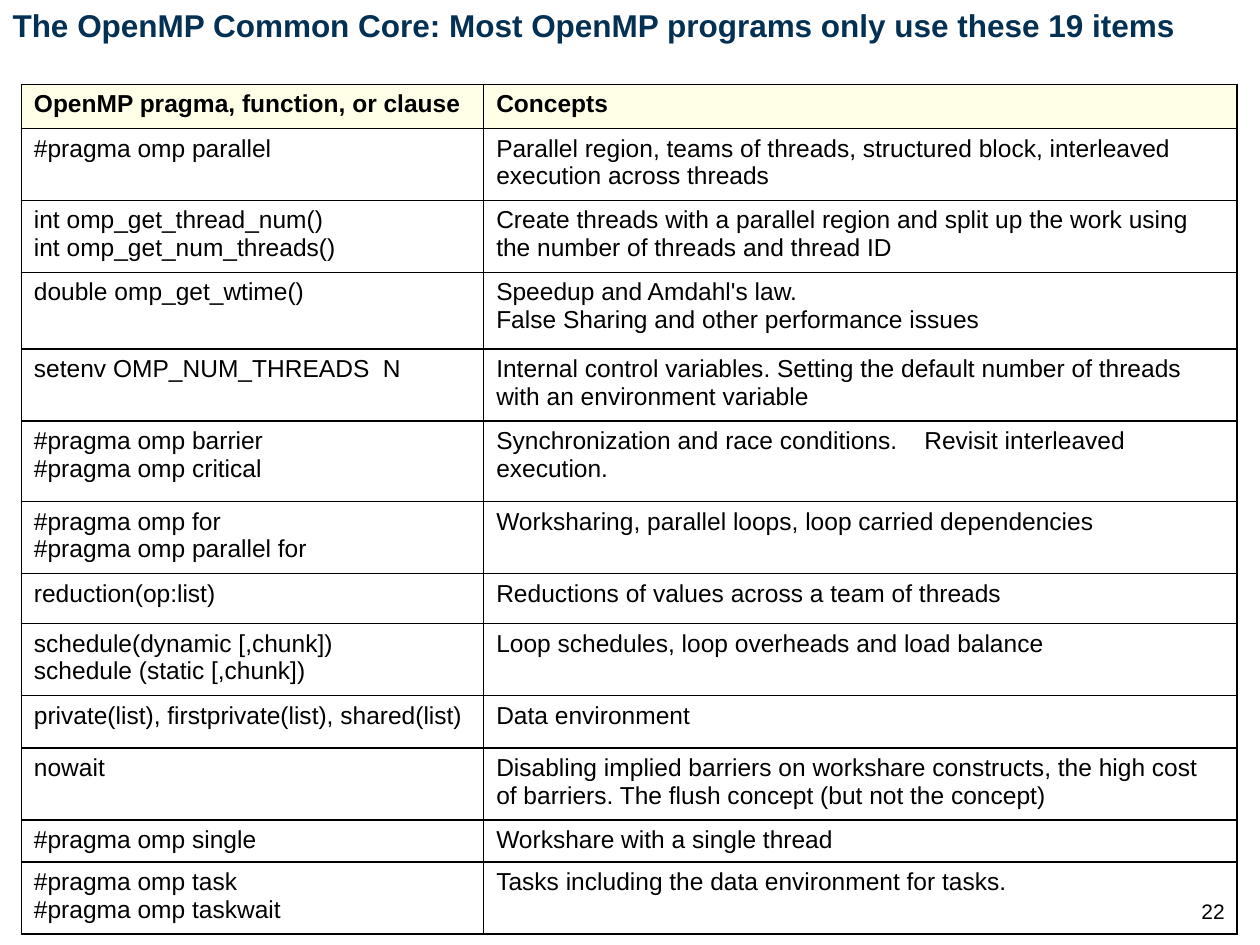
"""Build the slide that lists the OpenMP Common Core."""
from lxml.etree import SubElement
from pptx import Presentation
from pptx.dml.color import RGBColor as Rgb
from pptx.enum.text import MSO_ANCHOR as Anchor, MSO_AUTO_SIZE as Auto, PP_ALIGN as Align
from pptx.oxml import parse_xml
from pptx.oxml.ns import nsdecls, qn
from pptx.util import Cm, Pt


def style(para, size, color, bold=False):
    font = para.font
    font.name, font.size, font.bold = "Arial", Pt(size), bold
    font.color.rgb = Rgb.from_string(color)


def edge(cell):
    props = cell._tc.get_or_add_tcPr()
    for i, side in enumerate(("lnL", "lnR", "lnT", "lnB")):
        props.insert(i, parse_xml(
            f'<a:{side} {nsdecls("a")} w="12700"><a:solidFill>'
            f'<a:srgbClr val="000000"/></a:solidFill></a:{side}>'))


rows = [
    (0.89, "OpenMP pragma, function, or clause", "Concepts"),
    (1.45, "#pragma omp parallel",
     "Parallel region, teams of threads, structured block, interleaved execution across threads"),
    (1.45, "int omp_get_thread_num()\nint omp_get_num_threads()",
     "Create threads with a parallel region and split up the work using "
     "the number of threads and thread ID"),
    (1.55, "double omp_get_wtime()",
     "Speedup and Amdahl's law.\nFalse Sharing and other performance issues"),
    (1.45, "setenv OMP_NUM_THREADS  N",
     "Internal control variables. Setting the default number of threads "
     "with an environment variable"),
    (1.62, "#pragma omp barrier\n#pragma omp critical",
     "Synchronization and race conditions.\tRevisit interleaved execution."),
    (1.45, "#pragma omp for\n#pragma omp parallel for",
     "Worksharing, parallel loops, loop carried dependencies"),
    (1.01, "reduction(op:list)", "Reductions of values across a team of threads"),
    (1.45, "schedule(dynamic [,chunk])\nschedule (static [,chunk])",
     "Loop schedules, loop overheads and load balance"),
    (1.06, "private(list), firstprivate(list), shared(list)", "Data environment"),
    (1.45, "nowait",
     "Disabling implied barriers on workshare constructs, the high cost "
     "of barriers. The flush concept (but not the concept)"),
    (0.85, "#pragma omp single", "Workshare with a single thread"),
    (1.45, "#pragma omp task\n#pragma omp taskwait",
     "Tasks including the data environment for tasks."),
]

deck = Presentation()
deck.slide_width, deck.slide_height = Cm(25.4), Cm(19.05)
slide = deck.slides.add_slide(deck.slide_layouts[5])

title = slide.shapes.title
title.left, title.top, title.width, title.height = Cm(0), Cm(0), Cm(26.7), Cm(1.02)
frame = title.text_frame
frame.text = "The OpenMP Common Core: Most OpenMP programs only use these 19 items"
frame.vertical_anchor, frame.auto_size = Anchor.TOP, Auto.NONE
frame.paragraphs[0].alignment = Align.LEFT
style(frame.paragraphs[0], 18, "043054", True)

high = sum(row[0] for row in rows)
table = slide.shapes.add_table(
    len(rows), 2, Cm(0.43), Cm(1.7), Cm(24.51), Cm(high)).table
table.first_row = table.horz_banding = False
for col, wide in zip(table.columns, (9.32, 15.19)):
    col.width = Cm(wide)

for i, (tall, *texts) in enumerate(rows):
    table.rows[i].height = Cm(tall)
    for j, text in enumerate(texts):
        cell = table.cell(i, j)
        cell.text = text
        cell.fill.solid()
        cell.fill.fore_color.rgb = Rgb.from_string("FFFFFF" if i else "FFFFE7")
        edge(cell)
        for para in cell.text_frame.paragraphs:
            if "\t" in text:
                tabs = SubElement(para._p.get_or_add_pPr(), qn("a:tabLst"))
                SubElement(tabs, qn("a:tab"), pos=str(Cm(8.63)), algn="l")
            style(para, 14, "000000", i == 0)

page = slide.shapes.add_textbox(Cm(23.37), Cm(17.98), Cm(1.57), Cm(0.76)).text_frame
page.word_wrap = True
page.text = "22"
page.paragraphs[0].alignment = Align.RIGHT
style(page.paragraphs[0], 12, "000000")

deck.save("out.pptx")
